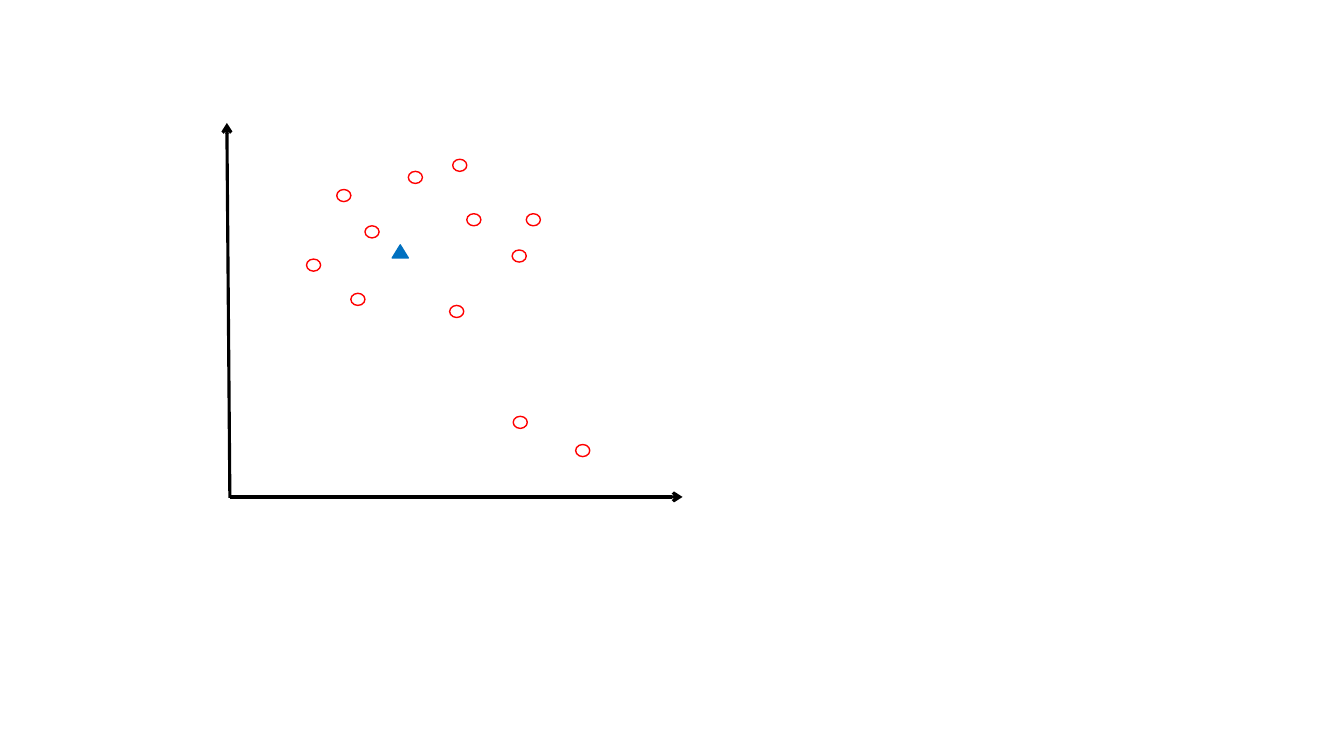
from lxml import etree
from pptx import Presentation
from pptx import util as u
from pptx.dml.color import RGBColor
from pptx.enum import shapes
from pptx.oxml.ns import qn

COLORS = {"axis": "000000", "point": "FF0000", "marker": "0070C0"}

deck = Presentation()
deck.slide_width = u.Inches(13.33)
deck.slide_height = u.Inches(7.5)
page = deck.slides.add_slide(deck.slide_layouts[6])
plot = page.shapes.add_group_shape()

axes = [(2.28, 4.94, 2.25, 1.22), (2.28, 4.93, 6.77, 4.93)]
for ends in axes:
    axis = plot.shapes.add_connector(
        shapes.MSO_CONNECTOR.STRAIGHT, *[u.Inches(end) for end in ends])
    axis.line.color.rgb = RGBColor.from_string(COLORS["axis"])
    axis.line.width = u.Pt(2.25)
    etree.SubElement(axis.line._get_or_add_ln(), qn("a:tailEnd"), type="arrow")
    etree.SubElement(axis._element.spPr, qn("a:effectLst"))

points = [
    (5.22, 2.12), (3.34, 1.88), (4.05, 1.7), (5.08, 2.48),
    (4.46, 3.03), (4.49, 1.58), (5.09, 4.13), (3.62, 2.24),
    (5.71, 4.41), (3.04, 2.57), (3.48, 2.91), (4.63, 2.12),
]
for left, top in points:
    point = plot.shapes.add_shape(
        shapes.MSO_SHAPE.OVAL,
        u.Inches(left), u.Inches(top), u.Inches(0.14), u.Inches(0.12))
    point.shadow.inherit = False
    point.fill.background()
    point.line.color.rgb = RGBColor.from_string(COLORS["point"])
    point.line.width = u.Pt(1)

marker = plot.shapes.add_shape(
    shapes.MSO_SHAPE.ISOSCELES_TRIANGLE,
    u.Inches(3.89), u.Inches(2.43), u.Inches(0.16), u.Inches(0.13))
marker.shadow.inherit = False
marker.fill.solid()
marker.fill.fore_color.rgb = RGBColor.from_string(COLORS["marker"])
marker.line.color.rgb = RGBColor.from_string(COLORS["marker"])
marker.line.width = u.Pt(1)

deck.save("out.pptx")
